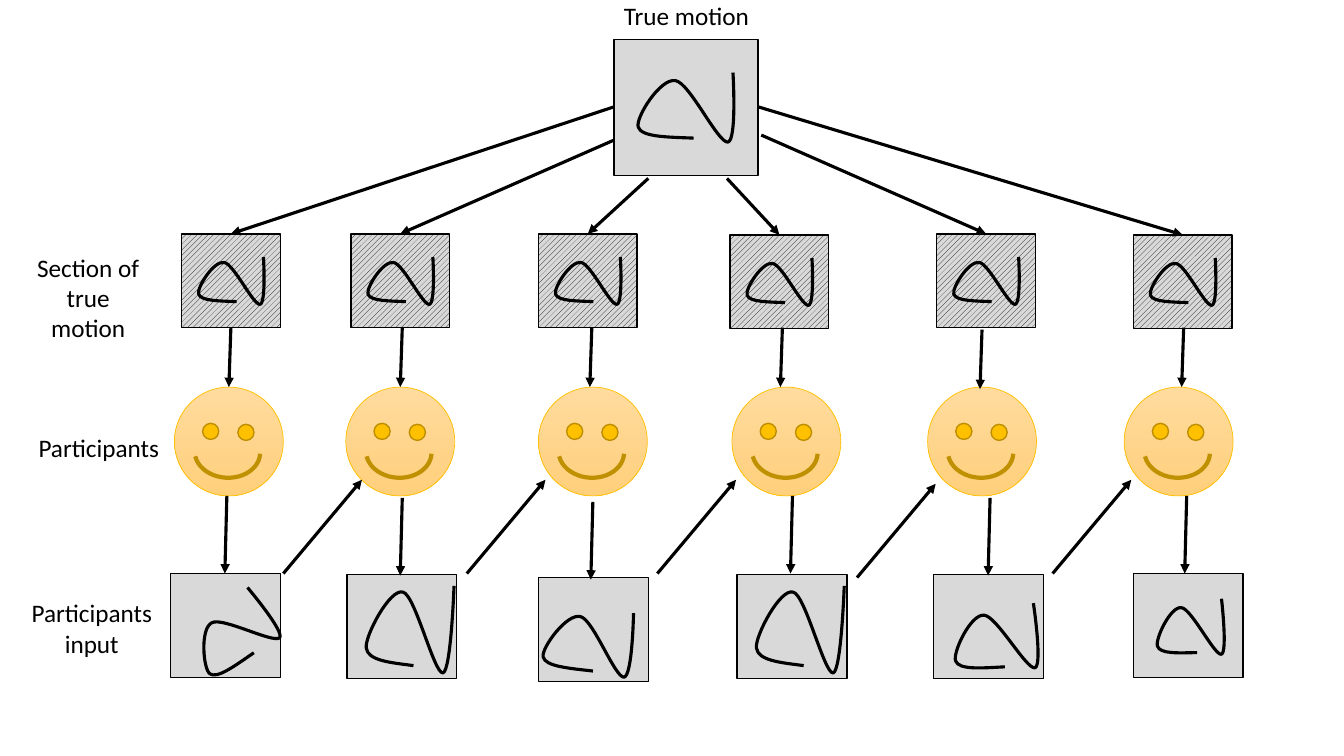
from lxml import etree
from pptx import Presentation
from pptx import util as u
from pptx.dml.color import RGBColor
from pptx.enum import dml, shapes, text
from pptx.oxml import ns

PX = 9144
INK, PAPER, GOLD = "000000", "D9D9D9", "FFC000"
CURVES = [
    [(29, 64), (3, 64), (0, 54)],
    [(-3, 45), (22, 5), (37, 8)],
    [(51, 10), (79, 70), (89, 69)],
    [(98, 67), (94, 0), (94, 0)],
]


def px(*lengths):
    return [u.Emu(n * PX) for n in lengths]


def rgb(value):
    return RGBColor.from_string(value)


def assign(obj, values):
    for name, value in values.items():
        setattr(obj, name, value)


class Sketch:
    """Style and current slide, with one method per kind of element."""

    font = {"name": "Calibri", "size": u.Pt(18)}
    frame = {"word_wrap": True, "auto_size": text.MSO_AUTO_SIZE.SHAPE_TO_FIT_TEXT}
    stroke = 2.25

    def __init__(self, prs):
        self.s = prs.slides.add_slide(prs.slide_layouts[6])
        self.target = self.s.shapes

    def group(self):
        self.target = self.s.shapes.add_group_shape().shapes

    def outline(self, sp, color, width):
        sp.line.color.rgb = rgb(color)
        sp.line.width = u.Pt(width)

    def shape(self, kind, box, fill, line, width=1):
        sp = self.target.add_shape(kind, *px(*box))
        sp.shadow.inherit = False
        if fill:
            sp.fill.solid()
            sp.fill.fore_color.rgb = rgb(fill)
        else:
            sp.fill.background()
        self.outline(sp, line, width)
        return sp

    def panel(self, box, hatched=False):
        self.group()
        sp = self.shape(shapes.MSO_SHAPE.RECTANGLE, box, PAPER, INK)
        if hatched:
            sp.fill.patterned()
            sp.fill.pattern = dml.MSO_PATTERN.WIDE_UPWARD_DIAGONAL
            sp.fill.fore_color.rgb = rgb(INK)
            sp.fill.back_color.rgb = rgb(PAPER)

    def scribble(self, box, rotation=0):
        x, y, w, h = px(*box)
        fb = self.target.build_freeform(0, 0, (w / 95, h / 69))
        fb.add_line_segments([(95, 69)], close=False)
        sp = fb.convert_to_shape(x, y)
        path = next(sp._element.iter(ns.qn("a:path")))
        for child in list(path):
            path.remove(child)
        for tag, points in [("a:moveTo", [(55, 65)])] + [("a:cubicBezTo", c) for c in CURVES]:
            step = etree.SubElement(path, ns.qn(tag))
            for a, b in points:
                etree.SubElement(step, ns.qn("a:pt"), x=str(a), y=str(b))
        sp.shadow.inherit = False
        sp.fill.background()
        self.outline(sp, INK, self.stroke)
        sp.rotation = rotation

    def face(self, x, y):
        self.group()
        oval = shapes.MSO_SHAPE.OVAL
        head = self.shape(oval, (x, y, 108, 108), GOLD, GOLD, 0.5)
        head.fill.gradient()
        head.fill.gradient_angle = 270
        for stop, color in zip(head.fill.gradient_stops, ("FFDB9E", "FFD07C")):
            stop.color.rgb = rgb(color)
        for dx, dy in ((28, 36), (63, 37)):
            self.shape(oval, (x + dx, y + dy, 16, 16), GOLD, "BD8E00")
        smile = self.shape(shapes.MSO_SHAPE.ARC, (x + 27, y + 32, 51, 65), None, "BF9000", 3)
        smile.adjustments[0], smile.adjustments[1] = 162, 47.63
        smile.rotation = 93

    def label(self, words, box, align=text.PP_ALIGN.CENTER):
        tf = self.s.shapes.add_textbox(*px(*box)).text_frame
        assign(tf, self.frame)
        p = tf.paragraphs[0]
        p.alignment = align
        r = p.add_run()
        r.text = words
        assign(r.font, self.font)
        r.font.color.rgb = rgb(INK)

    def arrow(self, start, end):
        sp = self.s.shapes.add_connector(shapes.MSO_CONNECTOR.STRAIGHT, *px(*start, *end))
        self.outline(sp, INK, self.stroke)
        etree.SubElement(sp.line._get_or_add_ln(), ns.qn("a:tailEnd"), type="triangle")
        etree.SubElement(sp._element.spPr, ns.qn("a:effectLst"))

    def arrows(self, starts, dx, dy):
        for x, y in starts:
            self.arrow((x, y), (x + dx, y + dy))


def main():
    prs = Presentation()
    prs.slide_width, prs.slide_height = px(1333, 750)
    sk = Sketch(prs)

    sk.panel((609, 39, 143, 135))
    sk.scribble((633, 72, 95, 69))
    sk.label("True motion", (609, -5, 225, 40), text.PP_ALIGN.LEFT)
    sk.label("Section of true motion", (21, 245, 133, 101))
    sk.label("Participants", (23, 424, 150, 40))
    sk.label("Participants input", (17, 588, 148, 71))

    for x, y in ((180, 232), (348, 232), (534, 232), (724, 233), (929, 232), (1124, 233)):
        sk.panel((x, y, 98, 93), hatched=True)
        sk.scribble((x + 17, y + 23, 65, 47))

    for x in (173, 343, 534, 726, 920, 1115):
        sk.face(x, 384)

    inputs = [
        (169, 569, (190, 601, 82, 59), 323.2),
        (344, 570, (365, 578, 83, 87), 4.4),
        (534, 573, (540, 605, 87, 64), 4.4),
        (731, 570, (752, 578, 83, 87), 4.4),
        (926, 570, (946, 602, 83, 64), 354.7),
        (1124, 569, (1147, 596, 67, 55), 356.4),
    ]
    for x, y, drawing, rotation in inputs:
        sk.panel((x, y, 109, 103))
        sk.scribble(drawing, rotation)

    fan = [
        ((609, 106), (229, 232)), ((609, 139), (397, 232)), ((643, 177), (583, 232)),
        ((721, 177), (773, 233)), ((755, 134), (978, 232)), ((752, 106), (1173, 233)),
    ]
    for start, end in fan:
        sk.arrow(start, end)

    to_face = [(229, 325), (399, 325), (587, 325), (776, 325), (974, 327), (1174, 325)]
    to_input = [(225, 492), (399, 494), (588, 498), (786, 492), (982, 494), (1177, 492)]
    to_next = [(281, 569), (463, 569), (652, 569), (850, 573), (1044, 569)]
    sk.arrows(to_face, -2, 59)
    sk.arrows(to_input, -2, 77)
    sk.arrows(to_next, 78, -93)

    prs.save("out.pptx")


if __name__ == "__main__":
    main()
